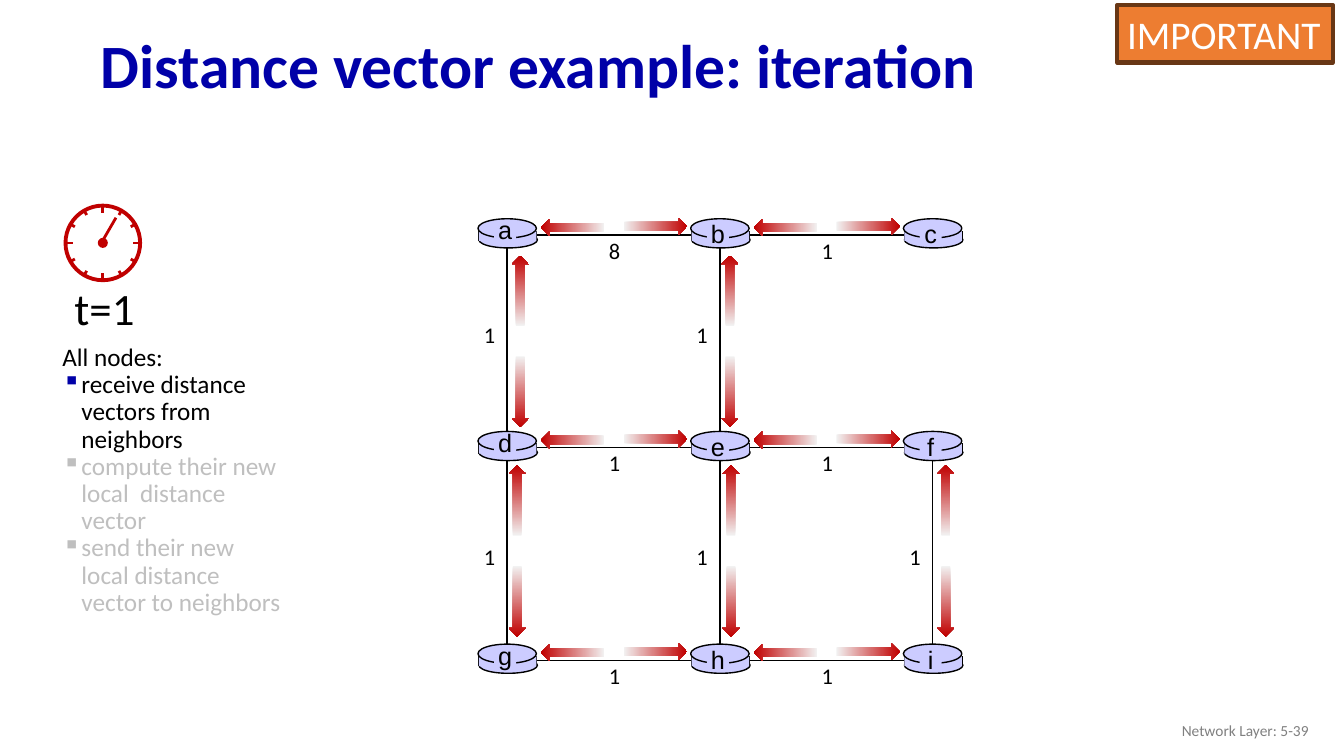
from lxml import etree
from pptx import Presentation
from pptx.dml.color import RGBColor
from pptx.enum.shapes import MSO_CONNECTOR, MSO_SHAPE
from pptx.enum.text import MSO_ANCHOR, PP_ALIGN
from pptx.oxml.ns import qn
from pptx.util import Inches, Pt
from math import cos, radians, sin

RECT, OVAL, ARROW = MSO_SHAPE.RECTANGLE, MSO_SHAPE.OVAL, MSO_SHAPE.RIGHT_ARROW
STRAIGHT = MSO_CONNECTOR.STRAIGHT
TOP, MIDDLE = MSO_ANCHOR.TOP, MSO_ANCHOR.MIDDLE
LEFT, CENTER, RIGHT = PP_ALIGN.LEFT, PP_ALIGN.CENTER, PP_ALIGN.RIGHT

COLORS = {
    "black": "000000", "white": "FFFFFF", "navy": "0000A8", "grey": "808080",
    "faded": "BFBFBF", "red": "C00000", "pale": "F2F2F2", "node": "CCCCFF",
    "badge": "ED7D31", "badge_edge": "683715",
}

prs = Presentation()
prs.slide_width, prs.slide_height = Inches(13.33), Inches(7.5)
slide = prs.slides.add_slide(prs.slide_layouts[6])
shapes = slide.shapes


def rgb(name):
    return RGBColor.from_string(COLORS[name])


def draw(kind, x, y, w, h, fill=None, line=None, weight=1):
    """Add a preset shape, or a line from (x, y) spanning (w, h)."""
    if kind is STRAIGHT:
        s = shapes.add_connector(kind, Inches(x), Inches(y), Inches(x + w), Inches(y + h))
    else:
        s = shapes.add_shape(kind, Inches(x), Inches(y), Inches(w), Inches(h))
        s.fill.background()
        if fill:
            s.fill.solid()
            s.fill.fore_color.rgb = rgb(fill)
    if line:
        s.line.color.rgb = rgb(line)
        s.line.width = Pt(weight)
    else:
        s.line.fill.background()
    etree.SubElement(s._element.spPr, qn("a:effectLst"))
    return s


def text(content, at=None, s=None, size=16, color="black", font="Calibri", bold=False,
         align=LEFT, anchor=TOP, spacing=None, wrap=False, bullet=None):
    """Write a paragraph into a new text box, or append one to shape s."""
    s = s or shapes.add_textbox(*[Inches(v) for v in at])
    tf = s.text_frame
    tf.word_wrap, tf.vertical_anchor = wrap, anchor
    p = tf.add_paragraph() if tf.text else tf.paragraphs[0]
    p.alignment, p.line_spacing = align, spacing
    if bullet:
        pPr = p._p.get_or_add_pPr()
        pPr.set("marL", str(Inches(0.19)))
        pPr.set("indent", str(-Inches(0.19)))
        clr = etree.SubElement(pPr, qn("a:buClr"))
        etree.SubElement(clr, qn("a:srgbClr"), val=COLORS[bullet])
        etree.SubElement(pPr, qn("a:buChar"), char="▪")
    r = p.add_run()
    r.text = content
    r.font.size, r.font.name, r.font.bold = Pt(size), font, bold
    r.font.color.rgb = rgb(color)
    return s


# Title and footer
text("Distance vector example: iteration", (0.9, 0.19, 11.5, 0.98), size=44,
     color="navy", bold=True, anchor=MIDDLE, spacing=0.9, wrap=True)
text("Network Layer: 5-39", (10.08, 7.05, 3, 0.4), size=11, color="grey",
     align=RIGHT, anchor=MIDDLE, wrap=True)

# Steps of the iteration
steps = text("All nodes:", (0.52, 3.37, 2.4, 2.83), size=18, spacing=0.9, wrap=True)
for step, color, bullet in [
    ("receive distance vectors from neighbors", "black", "navy"),
    ("compute their new local  distance vector", "faded", "faded"),
    ("send their new local distance vector to neighbors", "faded", "faded"),
]:
    text(step, s=steps, size=18, color=color, spacing=0.9, wrap=True, bullet=bullet)

# Clock: rim, twelve ticks, hub and hand
text("t=1", (0.64, 2.74, 0.81, 0.64), size=32)
cx, cy, radius = 1.02, 2.41, 0.37
draw(OVAL, cx - radius, cy - radius, 2 * radius, 2 * radius, line="red", weight=2.75)
for hour in range(12):
    dx, dy = sin(radians(30 * hour)), -cos(radians(30 * hour))
    tick = 0.07 if hour % 3 == 0 else 0.05
    draw(STRAIGHT, cx + radius * dx, cy + radius * dy, -tick * dx, -tick * dy,
         line="red", weight=2)
draw(OVAL, cx - 0.05, cy - 0.05, 0.1, 0.1, fill="red")
draw(STRAIGHT, 1.15, 2.16, -0.15, 0.26, line="red", weight=2)

# Network links on a 3 x 3 grid, without the link between c and f
STEP = 2.11
cols = [5.03 + STEP * i for i in range(3)]
rows = [2.33 + STEP * i for i in range(3)]
draw(STRAIGHT, cols[1], rows[2], 0, -2 * STEP, line="black")
draw(STRAIGHT, cols[0], rows[1], 2 * STEP, 0, line="black")
draw(RECT, cols[0], rows[0], 2 * STEP, 2 * STEP, line="black")
draw(RECT, cols[2] - 0.09, rows[0] + 0.08, 0.14, STEP - 0.08, fill="white")

# Link costs, with the centre, length and rotation of each message arrow
arrows = []
for j, y in enumerate(rows):
    for i, x in enumerate(cols[:2]):
        text("8" if i == j == 0 else "1", (x + 0.91, y - 0.03, 0.33, 0.37))
        arrows += [(x + 0.65, y - 0.08, 0.63, 180), (x + 1.47, y - 0.09, 0.63, 0)]
for i, j, shift in [(0, 0, 0.13), (1, 0, 0.1), (0, 1, 0.1), (1, 1, 0.11), (2, 1, 0.13)]:
    x, y = cols[i], rows[j]
    text("1", (x - 0.33, y + (0.81, 0.9)[j], 0.33, 0.37))
    up = y + (0.55, 0.52)[j]
    arrows += [(x + shift, up, 0.7, 270), (x + shift, up + 1, 0.7, 90)]

# Routers
for k, name in enumerate("abcdefghi"):
    x, y = cols[k % 3] - 0.28, rows[k // 3]
    draw(OVAL, x, y - 0.03, 0.58, 0.16, fill="node", line="black")
    for side in (x, x + 0.57):
        draw(STRAIGHT, side, y - 0.04, 0, 0.1, line="black")
    draw(RECT, x, y - 0.04, 0.57, 0.1, fill="node")
    draw(OVAL, x - 0.01, y - 0.16, 0.58, 0.19, fill="node", line="black")
    draw(RECT, x + 0.15, y - 0.11, 0.22, 0.2, fill="node")
    lift = 0.25 if k % 3 == 0 else 0.21
    text(name, (x + 0.09, y - lift, 0.34, 0.4), size=18, font="Arial", align=CENTER)

# Message arrows, fading towards the tail
for x, y, length, angle in arrows:
    s = draw(ARROW, x - length / 2, y - 0.08, length, 0.17)
    s.rotation = angle
    s.fill.gradient()
    s.fill.gradient_angle = 0
    for stop, color in zip(s.fill.gradient_stops, ("pale", "red")):
        stop.color.rgb = rgb(color)

# Badge
badge = draw(RECT, 11.08, 0.05, 2.14, 0.57, fill="badge", line="badge_edge", weight=3)
text("IMPORTANT", s=badge, size=28, color="white")

prs.save("out.pptx")
